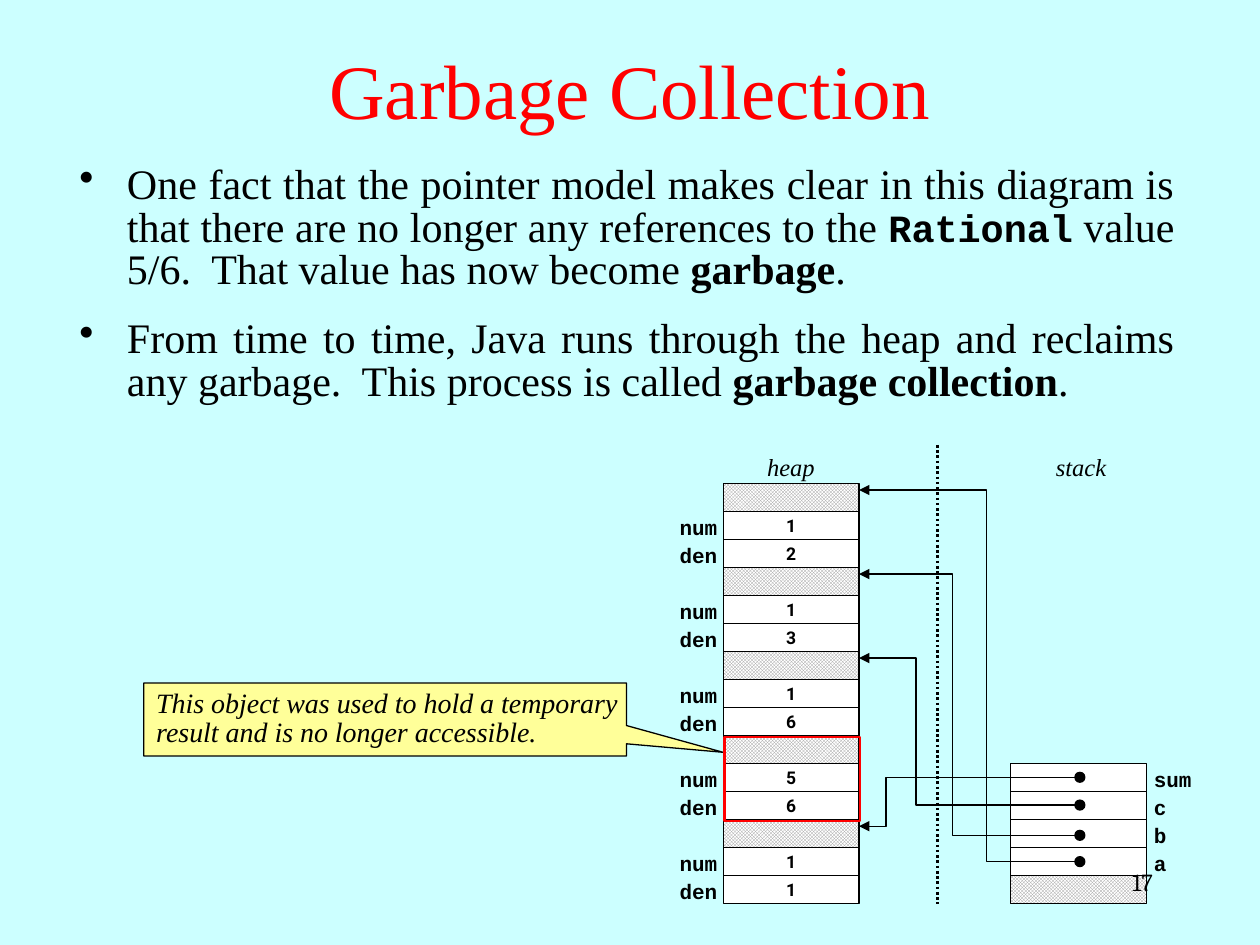
from lxml import etree
from pptx import Presentation
from pptx import util as u
from pptx.dml.color import RGBColor
from pptx.enum import dml, shapes, text
from pptx.oxml import ns

BLACK = RGBColor(0x00, 0x00, 0x00)
WHITE = RGBColor(0xFF, 0xFF, 0xFF)
RED = RGBColor(0xFF, 0x00, 0x00)
GRAY = RGBColor(0x99, 0x99, 0x99)
CYAN = RGBColor(0xCC, 0xFF, 0xFF)
YELLOW = RGBColor(0xFF, 0xFF, 0x99)

SERIF = "Times New Roman"
HEAD = dict(name=SERIF, size=u.Pt(44))
BODY = dict(name=SERIF, size=u.Pt(24))
BOLD = dict(BODY, bold=True)
CODE = dict(name="Courier New", size=u.Pt(22), bold=True)
TAG = dict(CODE, size=u.Pt(12))
CELL = dict(name="Roboto", size=u.Pt(10), bold=True)
AREA = dict(name=SERIF, size=u.Pt(14), italic=True)
NOTE = dict(AREA, size=u.Pt(16))
PAGE = dict(name="Cambria", size=u.Pt(14))

LEFT, CENTER, RIGHT, FULL = (text.PP_ALIGN.LEFT, text.PP_ALIGN.CENTER,
                             text.PP_ALIGN.RIGHT, text.PP_ALIGN.JUSTIFY)
MIDDLE = text.MSO_ANCHOR.MIDDLE
RECT = shapes.MSO_SHAPE.RECTANGLE

# Memory columns, in cm
TOP, BASE, WIDE = 9.75, 18.22, 2.74
ROW = (BASE - TOP) / 15
HEAP, STACK = 14.58, 20.37
DOT, TIP = 21.67, HEAP + WIDE

POINTS = [
    [("One fact that the pointer model makes clear in this diagram is that "
      "there are no longer any references to the ", BODY),
     ("Rational", CODE),
     (" value 5/6.  That value has now become ", BODY),
     ("garbage", BOLD), (".", BODY)],
    [("From time to time, Java runs through the heap and reclaims any "
      "garbage.  This process is called ", BODY),
     ("garbage collection", BOLD), (".", BODY)],
]
OBJECTS = [(1, 2), (1, 3), (1, 6), (5, 6), (1, 1)]
NAMES = ["sum", "c", "b", "a"]
# dot height, lane of the bend, index of the heap object
LINKS = [(17.37, 19.89, 0), (16.84, 19.2, 1), (16.23, 18.47, 2), (15.67, 17.86, 4)]


def put(obj, form):
    for key, val in form.items():
        setattr(obj, key, val)


def node(up, tag, **attrs):
    return etree.SubElement(up, ns.qn(tag), attrs)


class Deck:
    def __init__(self):
        self.prs = Presentation()
        put(self.prs, dict(slide_width=u.Cm(25.4), slide_height=u.Cm(19.05)))
        self.slide = self.prs.slides.add_slide(self.prs.slide_layouts[6])
        self.paint(self.slide.background.fill, CYAN)

    def paint(self, fill, color):
        fill.solid()
        fill.fore_color.rgb = color

    def ink(self, line, color=BLACK, width=0.75):
        line.color.rgb = color
        line.width = u.Pt(width)

    def words(self, frame, lines, align=LEFT, **form):
        """Fill a frame with paragraphs, each a list of (string, font) runs."""
        put(frame, form)
        for i, runs in enumerate(lines):
            par = frame.add_paragraph() if i else frame.paragraphs[0]
            par.alignment = align
            for string, font in runs:
                run = par.add_run()
                run.text = string
                put(run.font, font)
                run.font.color.rgb = BLACK

    def label(self, box, runs, align=LEFT, **form):
        """Add a text box of one paragraph and return that paragraph."""
        frame = self.slide.shapes.add_textbox(*map(u.Cm, box)).text_frame
        self.words(frame, [runs], align, word_wrap=True, **form)
        return frame.paragraphs[0]

    def bullet(self, box, runs):
        par = self.label(box, runs, FULL)
        par.line_spacing = 0.85
        props = par._p.get_or_add_pPr()
        dent = u.Cm(0.96)
        props.set("marL", str(dent))
        props.set("indent", str(-dent))
        node(props, "a:buChar", char="•")

    def shape(self, kind, box, fill=WHITE, line=BLACK, width=0.75):
        item = self.slide.shapes.add_shape(kind, *map(u.Cm, box))
        item.shadow.inherit = False
        self.ink(item.line, line, width)
        if fill is None:
            item.fill.background()
        else:
            self.paint(item.fill, fill)
        return item

    def cell(self, left, top, value=""):
        item = self.shape(RECT, (left, top, WIDE, ROW))
        if value:
            self.words(item.text_frame, [[(value, CELL)]], CENTER,
                       word_wrap=False, vertical_anchor=MIDDLE)
        return item

    def hatch(self, left, top):
        fill = self.cell(left, top).fill
        fill.patterned()
        fill.pattern = dml.MSO_PATTERN.SMALL_CHECKER_BOARD
        fill.fore_color.rgb = GRAY
        fill.back_color.rgb = WHITE

    def line(self, kind, ends, width=0.75):
        item = self.slide.shapes.add_connector(kind, *map(u.Cm, ends))
        self.ink(item.line, width=width)
        node(item._element.spPr, "a:effectLst")
        return item

    def link(self, start, lane, end):
        """Draw a dot and an arrow from it that bends at the lane."""
        self.shape(shapes.MSO_SHAPE.OVAL, (DOT, start - 0.1, 0.2, 0.2), BLACK)
        item = self.line(shapes.MSO_CONNECTOR.ELBOW, (DOT, start, TIP, end))
        bend = round((DOT - lane) / (DOT - TIP) * 100000)
        props = item._element.spPr
        guides = props.find(".//" + ns.qn("a:avLst"))
        node(guides, "a:gd", name="adj1", fmla=f"val {bend}")
        node(props.find(ns.qn("a:ln")), "a:tailEnd", type="triangle")


def main():
    deck = Deck()
    par = deck.label((0, 0.2, 25.4, 3.18), [("Garbage Collection", HEAD)],
                     CENTER, vertical_anchor=MIDDLE)
    par.runs[0].font.color.rgb = RED
    for top, runs in zip((3.2, 6.32), POINTS):
        deck.bullet((1.35, top, 22.58, 2.29), runs)

    for i, pair in enumerate(OBJECTS):
        top = TOP + 3 * i * ROW
        deck.hatch(HEAP, top)
        for j, (name, value) in enumerate(zip(("num", "den"), pair), 1):
            deck.cell(HEAP, top + j * ROW, str(value))
            deck.label((12.37, top + j * ROW - 0.07, 2.34, 0.76),
                       [(name, TAG)], RIGHT)

    for i, name in enumerate(NAMES):
        top = BASE - (5 - i) * ROW
        deck.cell(STACK, top)
        deck.label((23.01, top - 0.07, 1.32, 0.76), [(name, TAG)])
    deck.hatch(STACK, BASE - ROW)

    for start, lane, i in LINKS:
        deck.link(start, lane, TOP + 3 * i * ROW + 0.13)
    split = deck.line(shapes.MSO_CONNECTOR.STRAIGHT, (18.9, 8.97, 18.9, BASE), 1.5)
    split.line.dash_style = dml.MSO_LINE.ROUND_DOT
    for left, name in ((14.55, "heap"), (20.4, "stack")):
        deck.label((left, 8.99, 2.79, 0.84), [(name, AREA)], CENTER)

    note = deck.shape(shapes.MSO_SHAPE.RECTANGULAR_CALLOUT,
                      (2.9, 13.77, 9.73, 1.47), YELLOW)
    note.adjustments[0], note.adjustments[1] = 0.7, 0.45
    deck.words(note.text_frame,
               [[("This object was used to hold a temporary", NOTE)],
                [("result and is no longer accessible.", NOTE)]],
               word_wrap=False, vertical_anchor=MIDDLE)
    for par in note.text_frame.paragraphs:
        par.line_spacing = 0.85
    deck.shape(RECT, (14.6, 14.86, WIDE, 3 * ROW), None, RED, 1.5)
    deck.label((18.21, 17.35, 5.28, 1.27), [("17", PAGE)], RIGHT)
    deck.prs.save("out.pptx")


if __name__ == "__main__":
    main()
